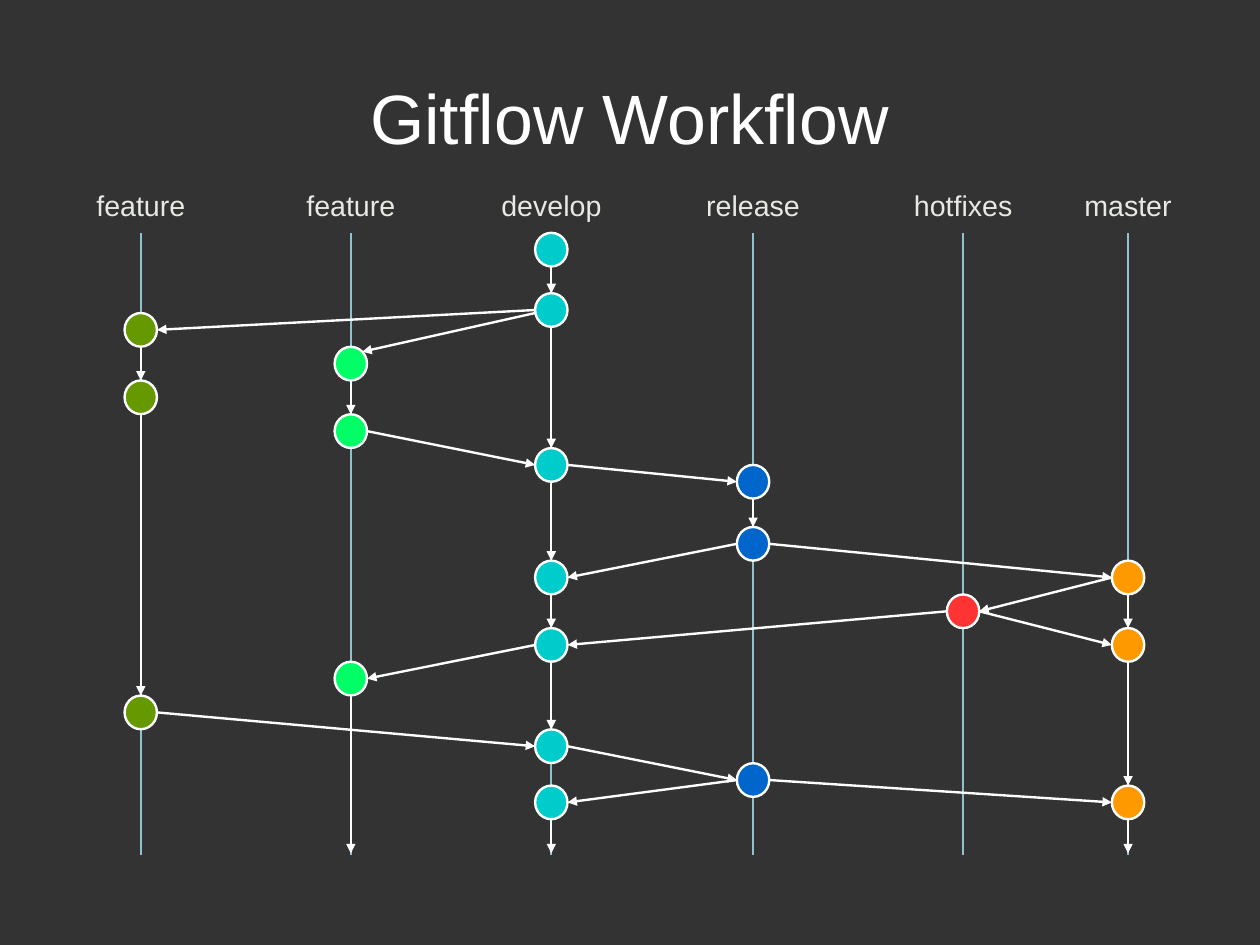
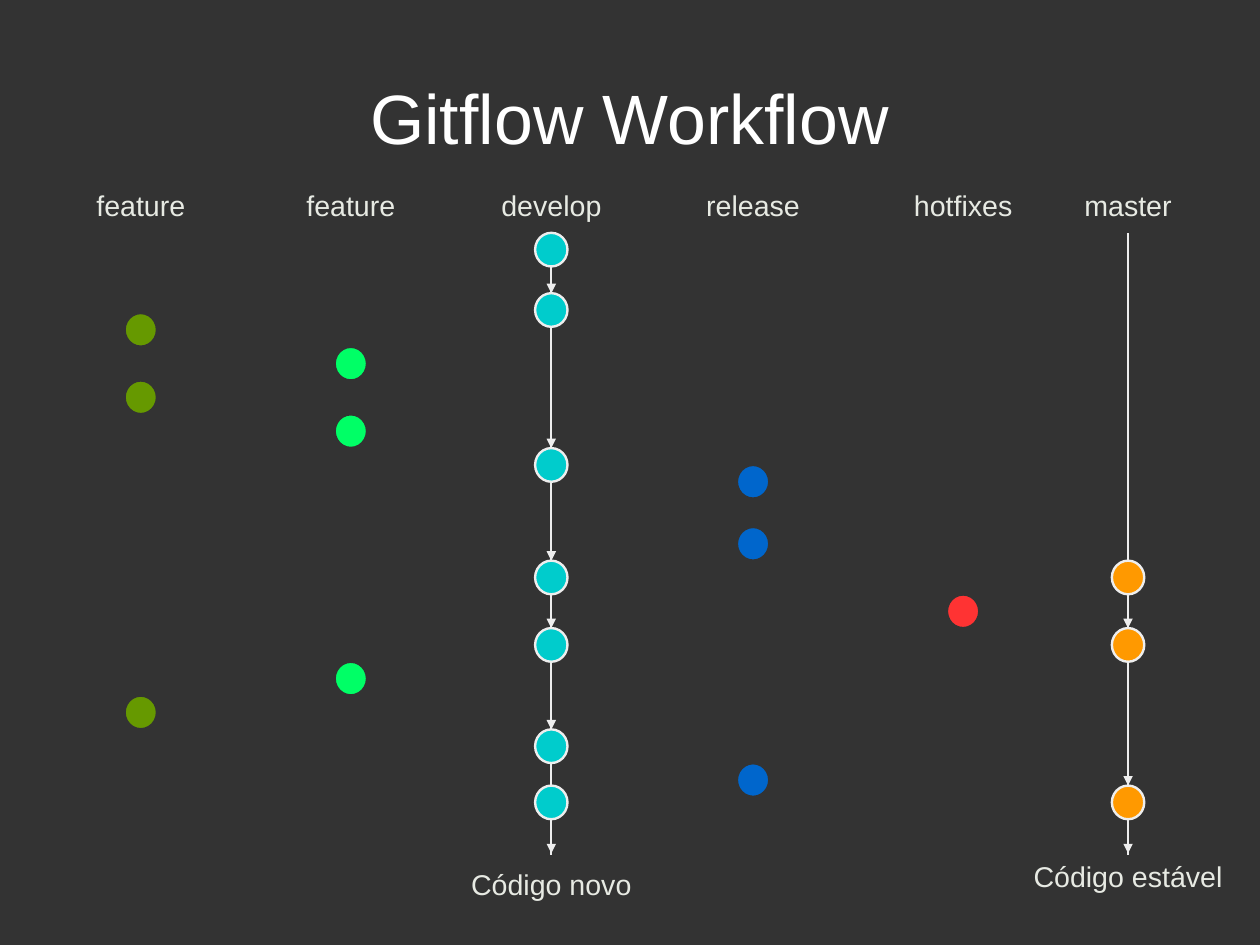
from lxml import etree
from pptx import Presentation
from pptx.dml.color import RGBColor
from pptx.enum.shapes import MSO_CONNECTOR as CONNECTOR, MSO_SHAPE as SHAPE
from pptx.enum.text import MSO_ANCHOR as ANCHOR, MSO_AUTO_SIZE as AUTO_SIZE, PP_ALIGN as ALIGN
from pptx.oxml.ns import qn
from pptx.util import Pt

COLORS = {
    "background": "333333", "title": "FFFFFF", "label": "E7EAE3",
    "lane": "91C1CD", "arrow": "FFFFFF", "highlight": "EEEEEE",
    "feature_a": "669900", "feature_b": "00FF66", "develop": "00CCCC",
    "release": "0066CC", "hotfixes": "FF3333", "master": "FF9900",
}
FONT = "Arial"
LINE_WIDTH = 1.5
COMMIT_WIDTH, COMMIT_HEIGHT = 20.4, 21.2
LABEL_TOP, LABEL_HEIGHT, LABEL_WIDTH = 110.9, 35.3, 104
LANE_TOP, LANE_BOTTOM = 146.8, 538.5

# Branch: label, centre x, centre y of each commit
BRANCHES = {
    "feature_a": ("feature", 88.7, [207.8, 250.3, 448.8]),
    "feature_b": ("feature", 221, [229.1, 271.6, 427.5]),
    "develop": ("develop", 347.3, [157.3, 195.3, 292.9, 363.8, 406.3, 470.1, 505.5]),
    "release": ("release", 474.4, [303.5, 342.6, 491.4]),
    "hotfixes": ("hotfixes", 606.7, [385.1]),
    "master": ("master", 710.6, [363.8, 406.3, 505.5]),
}

# Branch and commit number at each end of an arrow between branches
CROSSINGS = [
    ("develop", 1, "feature_a", 0),
    ("feature_b", 1, "develop", 2), ("develop", 2, "release", 0),
    ("release", 1, "develop", 3), ("release", 1, "master", 0),
    ("master", 0, "hotfixes", 0), ("hotfixes", 0, "master", 1),
    ("hotfixes", 0, "develop", 4), ("develop", 4, "feature_b", 2),
    ("feature_a", 2, "develop", 5), ("develop", 5, "release", 2),
    ("release", 2, "develop", 6), ("release", 2, "master", 2),
]
NO_ARROW_AFTER = [("feature_b", 1), ("develop", 5), ("release", 1)]
CONTINUING = ["feature_b", "develop", "master"]

# Caption: text, centre x, top
CAPTIONS = [("Código novo", 347.3, 538.6), ("Código estável", 710.6, 534.2)]
SLIDES = [
    {"shown": list(BRANCHES), "lane": "lane", "arrow": "arrow",
     "crossings": CROSSINGS, "captions": []},
    {"shown": ["develop", "master"], "lane": "highlight", "arrow": "highlight",
     "crossings": [], "captions": CAPTIONS},
]


def write_text(shape, text, size=18, color="label", inset=7.2, anchor=ANCHOR.TOP):
    frame = shape.text_frame
    frame.word_wrap = True
    frame.auto_size = AUTO_SIZE.NONE
    frame.vertical_anchor = anchor
    frame.margin_left = frame.margin_right = Pt(inset)
    frame.margin_top = frame.margin_bottom = Pt(inset)
    paragraph = frame.paragraphs[0]
    paragraph.alignment = ALIGN.CENTER
    run = paragraph.add_run()
    run.text = text
    run.font.name = FONT
    run.font.size = Pt(size)
    run.font.color.rgb = RGBColor.from_string(COLORS[color])


def draw_line(slide, start, end, color, arrow=True):
    line = slide.shapes.add_connector(CONNECTOR.STRAIGHT, *map(Pt, start + end))
    line.line.color.rgb = RGBColor.from_string(COLORS[color])
    line.line.width = Pt(LINE_WIDTH)
    properties = line._element.spPr
    if arrow:
        etree.SubElement(properties.find(qn("a:ln")), qn("a:tailEnd"), type="triangle")
    etree.SubElement(properties, qn("a:effectLst"))


presentation = Presentation()
presentation.slide_width, presentation.slide_height = Pt(793.7), Pt(595.3)

# Shared background and title position
background = presentation.slide_master.background.fill
background.solid()
background.fore_color.rgb = RGBColor.from_string(COLORS["background"])
layout = presentation.slide_layouts[5]
layout_title = layout.placeholders[0]
layout_title.left, layout_title.top = Pt(39.6), Pt(23.8)
layout_title.width, layout_title.height = Pt(714.3), Pt(99.4)

for content in SLIDES:
    slide = presentation.slides.add_slide(layout)
    write_text(slide.shapes.title, "Gitflow Workflow", size=44, color="title",
               inset=0, anchor=ANCHOR.MIDDLE)

    # Branch labels and captions
    labels = [(label, x, LABEL_TOP, LABEL_WIDTH) for label, x, _ in BRANCHES.values()]
    labels += [(text, x, top, 138) for text, x, top in content["captions"]]
    for text, x, top, width in labels:
        box = slide.shapes.add_textbox(Pt(x - width / 2), Pt(top), Pt(width), Pt(LABEL_HEIGHT))
        write_text(box, text)

    # Lanes
    for branch in content["shown"]:
        x = BRANCHES[branch][1]
        draw_line(slide, (x, LANE_TOP), (x, LANE_BOTTOM), content["lane"], arrow=False)

    # Commits
    for branch, (_, x, commits) in BRANCHES.items():
        outline = content["arrow"] if branch in content["shown"] else "background"
        for y in commits:
            commit = slide.shapes.add_shape(
                SHAPE.FLOWCHART_CONNECTOR, Pt(x - COMMIT_WIDTH / 2), Pt(y - COMMIT_HEIGHT / 2),
                Pt(COMMIT_WIDTH), Pt(COMMIT_HEIGHT))
            commit.shadow.inherit = False
            commit.fill.solid()
            commit.fill.fore_color.rgb = RGBColor.from_string(COLORS[branch])
            commit.line.color.rgb = RGBColor.from_string(COLORS[outline])
            commit.line.width = Pt(LINE_WIDTH)

    # Arrows along each branch
    for branch in content["shown"]:
        _, x, commits = BRANCHES[branch]
        for number, y in enumerate(commits):
            start = (x, y + COMMIT_HEIGHT / 2)
            if number + 1 < len(commits):
                if (branch, number) not in NO_ARROW_AFTER:
                    draw_line(slide, start, (x, commits[number + 1] - COMMIT_HEIGHT / 2),
                              content["arrow"])
            elif branch in CONTINUING:
                draw_line(slide, start, (x, LANE_BOTTOM - 1), content["arrow"])

    # Arrows between branches, from side to side
    for source, source_number, target, target_number in content["crossings"]:
        _, source_x, source_commits = BRANCHES[source]
        _, target_x, target_commits = BRANCHES[target]
        reach = COMMIT_WIDTH / 2 if target_x > source_x else -COMMIT_WIDTH / 2
        draw_line(slide, (source_x + reach, source_commits[source_number]),
                  (target_x - reach, target_commits[target_number]), content["arrow"])

    # The second feature starts at the upper right of its first commit
    if "feature_b" in content["shown"]:
        draw_line(slide, (337.1, 197.2), (228.2, 221.6), content["arrow"])

presentation.save("out.pptx")
